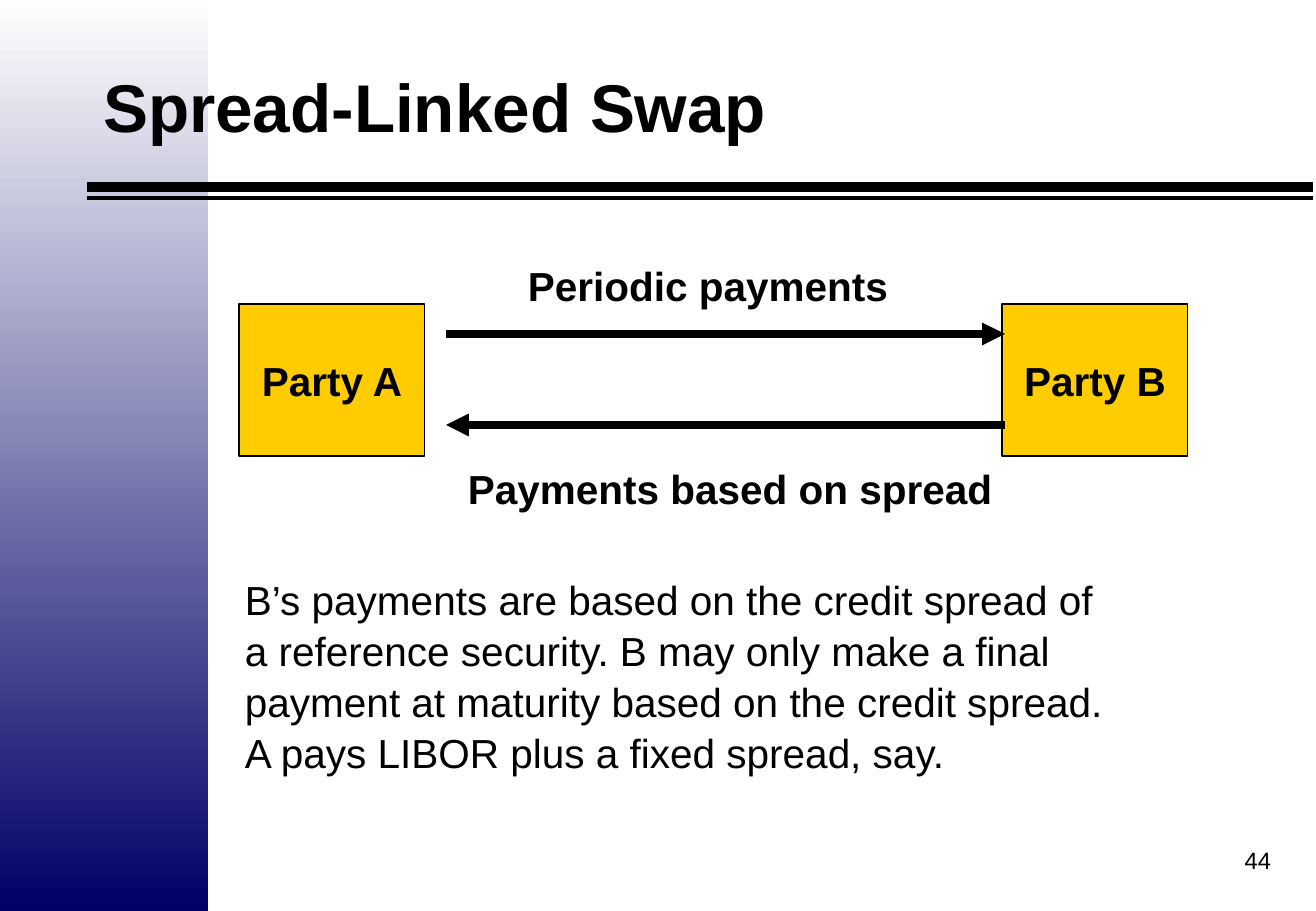
from pptx import Presentation, util as u
from pptx.dml.color import RGBColor
from pptx.enum import shapes, text
from pptx.oxml.ns import qn
from lxml import etree

PX = 7526  # EMU per px
LEFT, CENTER, RIGHT = text.PP_ALIGN.LEFT, text.PP_ALIGN.CENTER, text.PP_ALIGN.RIGHT
TOP, MIDDLE = text.MSO_ANCHOR.TOP, text.MSO_ANCHOR.MIDDLE


def px(*lengths):
    return [u.Emu(n * PX) for n in lengths]


def rgb(hex_color):
    return RGBColor.from_string(hex_color)


def write(sp, lines, size=24, bold=False, color="000000", align=LEFT,
          anchor=TOP, wrap=True, spacing=1.0):
    """Put one paragraph per line of text into a shape."""
    tf = sp.text_frame
    tf.text = lines
    tf.word_wrap = wrap
    tf.auto_size = text.MSO_AUTO_SIZE.NONE
    tf.vertical_anchor = anchor
    for p in tf.paragraphs:
        p.alignment = align
        p.line_spacing = spacing
        for r in p.runs:
            r.font.name = "Arial"
            r.font.size = u.Pt(size)
            r.font.bold = bold
            r.font.color.rgb = rgb(color)


def add_text(slide, box, lines, **fmt):
    write(slide.shapes.add_textbox(*px(*box)), lines, **fmt)


def add_rect(slide, box):
    sp = slide.shapes.add_shape(shapes.MSO_SHAPE.RECTANGLE, *px(*box))
    sp.shadow.inherit = False
    return sp


def add_sidebar(slide):
    sp = add_rect(slide, (0, 0, 208, 911))
    sp.line.fill.background()
    sp.fill.gradient()
    sp.fill.gradient_angle = 270
    for stop, color in zip(sp.fill.gradient_stops, ("FFFFFF", "000066")):
        stop.color.rgb = rgb(color)


def add_party(slide, x, name):
    sp = add_rect(slide, (x, 304, 186, 152))
    sp.fill.solid()
    sp.fill.fore_color.rgb = rgb("FFCC00")
    sp.line.color.rgb = rgb("000000")
    sp.line.width = u.Pt(0.75)
    write(sp, name, bold=True, align=CENTER, anchor=MIDDLE, wrap=False)


def add_line(slide, x1, x2, y, width, arrow=False):
    line = slide.shapes.add_connector(shapes.MSO_CONNECTOR.STRAIGHT, *px(x1, y, x2, y))
    line.line.color.rgb = rgb("000000")
    line.line.width = u.Pt(width)
    if arrow:
        etree.SubElement(line.line._get_or_add_ln(), qn("a:tailEnd"), type="triangle")
    etree.SubElement(line._element.spPr, qn("a:effectLst"))


def add_title(slide, words):
    title = slide.shapes.title
    title.left, title.top, title.width, title.height = px(91, 30, 877, 152)
    write(title, words, size=40, bold=True, anchor=MIDDLE)
    # Bring the title in front of the sidebar
    slide.shapes._spTree.append(title._element)


def main():
    prs = Presentation()
    prs.slide_width, prs.slide_height = px(1316, 911)
    slide = prs.slides.add_slide(prs.slide_layouts[5])

    # Sidebar, double rule and title
    add_sidebar(slide)
    for y, width in ((198, 2), (187, 6)):
        add_line(slide, 87, 1313, y, width)
    add_title(slide, "Spread-Linked Swap")

    # Swap diagram
    add_party(slide, 239, "Party A")
    add_party(slide, 1002, "Party B")
    add_line(slide, 446, 1005, 334, 4.5, arrow=True)
    add_line(slide, 1005, 446, 425, 4.5, arrow=True)
    for box, label in (((516, 253, 384, 61), "Periodic payments"),
                       ((456, 456, 548, 61), "Payments based on spread")):
        add_text(slide, box, label, bold=True, wrap=False, spacing=1.05)

    # Explanation
    add_text(slide, (233, 567, 1002, 207),
             "B’s payments are based on the credit spread of\n"
             "a reference security. B may only make a final\n"
             "payment at maturity based on the credit spread.\n"
             "A pays LIBOR plus a fixed spread, say.", spacing=1.05)

    # Page number
    add_text(slide, (1008, 830, 275, 61), "44", size=14, align=RIGHT, anchor=MIDDLE)

    prs.save("out.pptx")


if __name__ == "__main__":
    main()
